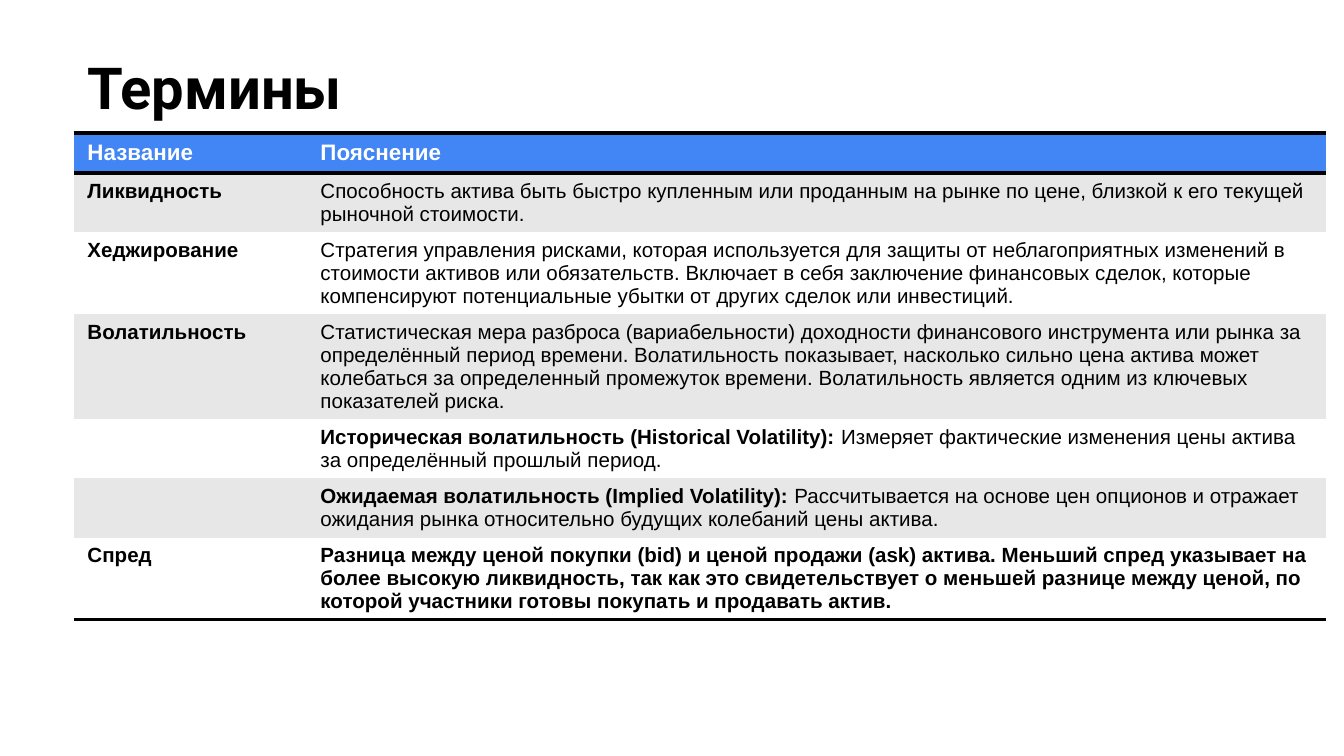
from lxml import etree
from pptx import Presentation, util as u
from pptx.dml.color import RGBColor
from pptx.enum import text
from pptx.oxml import ns

PX = 914400 / 134.4
BLACK, WHITE, BLUE, GRAY = "000000", "FFFFFF", "4285F4", "E7E7E7"
PLAIN_STYLE = "{2D5ABB26-0587-4C30-8999-92F81FD0307C}"
HEADINGS = ("Название", "Пояснение")
TERMS = [
    ("Ликвидность", [("Способность актива быть быстро купленным или проданным на рынке по цене, "
                      "близкой к его текущей рыночной стоимости.", False)]),
    ("Хеджирование", [("Стратегия управления рисками, которая используется для защиты от "
                       "неблагоприятных изменений в стоимости активов или обязательств. Включает "
                       "в себя заключение финансовых сделок, которые компенсируют потенциальные "
                       "убытки от других сделок или инвестиций.", False)]),
    ("Волатильность", [("Статистическая мера разброса (вариабельности) доходности финансового "
                        "инструмента или рынка за определённый период времени. Волатильность "
                        "показывает, насколько сильно цена актива может колебаться за "
                        "определенный промежуток времени. Волатильность является одним из "
                        "ключевых показателей риска.", False)]),
    ("", [("Историческая волатильность (Historical Volatility): ", True),
          ("Измеряет фактические изменения цены актива за определённый прошлый период.", False)]),
    ("", [("Ожидаемая волатильность (Implied Volatility): ", True),
          ("Рассчитывается на основе цен опционов и отражает ожидания рынка относительно "
           "будущих колебаний цены актива.", False)]),
    ("Спред", [("Разница между ценой покупки (bid) и ценой продажи (ask) актива. Меньший спред "
                "указывает на более высокую ликвидность, так как это свидетельствует о меньшей "
                "разнице между ценой, по которой участники готовы покупать и продавать актив.",
                True)]),
]


def px(length):
    """Turn px into EMU."""
    return u.Emu(round(length * PX))


def color(value):
    """Turn a hex string into a colour."""
    return RGBColor.from_string(value)


def add_run(paragraph, words, size, ink, bold, font="Arial"):
    """Append one formatted run."""
    run = paragraph.add_run()
    run.text = words
    run.font.name, run.font.size, run.font.bold = font, u.Pt(size), bold
    run.font.color.rgb = color(ink)


def add_borders(cell, sides):
    """Draw black 2 pt lines on the given sides of a cell."""
    properties = cell._tc.get_or_add_tcPr()
    for index, side in enumerate(sides):
        line = etree.Element(ns.qn(f"a:ln{side}"), w=str(u.Pt(2)))
        fill = etree.SubElement(line, ns.qn("a:solidFill"))
        etree.SubElement(fill, ns.qn("a:srgbClr"), val=BLACK)
        properties.insert(index, line)


def fill_cell(cell, runs, fill, size, ink, sides):
    """Set the fill, borders and text of one cell."""
    cell.fill.solid()
    cell.fill.fore_color.rgb = color(fill)
    add_borders(cell, sides)
    paragraph = cell.text_frame.paragraphs[0]
    paragraph.font.size = u.Pt(size)
    for words, bold in runs:
        if words:
            add_run(paragraph, words, size, ink, bold)


def place_title(slide, left, top, width, height):
    """Place and format the slide title."""
    title = slide.shapes.title
    title.left, title.top, title.width, title.height = map(px, (left, top, width, height))
    frame = title.text_frame
    frame.margin_left = frame.margin_right = frame.margin_top = frame.margin_bottom = u.Inches(0.1)
    frame.vertical_anchor = text.MSO_ANCHOR.TOP
    frame.word_wrap = True
    paragraph = frame.paragraphs[0]
    paragraph.alignment = text.PP_ALIGN.LEFT
    paragraph.line_spacing = 1.0
    paragraph.space_before = u.Pt(0)
    add_run(paragraph, "Термины", 31, BLACK, True, "Roboto")


def place_glossary(slide, left, top, width, name_width=233, head_height=40, row_height=58):
    """Place the table of terms and explanations."""
    height = head_height + row_height * len(TERMS)
    glossary = slide.shapes.add_table(
        len(TERMS) + 1, 2, *map(px, (left, top, width, height))).table
    glossary._tbl.tblPr.find(ns.qn("a:tableStyleId")).text = PLAIN_STYLE
    glossary.columns[0].width = px(name_width)
    glossary.columns[1].width = px(width - name_width)
    glossary.rows[0].height = px(head_height)
    for column, heading in enumerate(HEADINGS):
        fill_cell(glossary.cell(0, column), [(heading, True)], BLUE, 12, WHITE, "TB")
    for row, (term, explanation) in enumerate(TERMS, 1):
        glossary.rows[row].height = px(row_height)
        band = GRAY if row % 2 else WHITE
        sides = "B" if row == len(TERMS) else ""
        for column, runs in enumerate(([(term, True)], explanation)):
            fill_cell(glossary.cell(row, column), runs, band, 11, BLACK, sides)


def main():
    """Build and save the slide."""
    deck = Presentation()
    deck.slide_width, deck.slide_height = px(1344), px(756)
    slide = deck.slides.add_slide(deck.slide_layouts[5])
    place_title(slide, 74, 38, 1252, 161)
    place_glossary(slide, 74, 133, 1252)
    deck.save("out.pptx")


if __name__ == "__main__":
    main()
